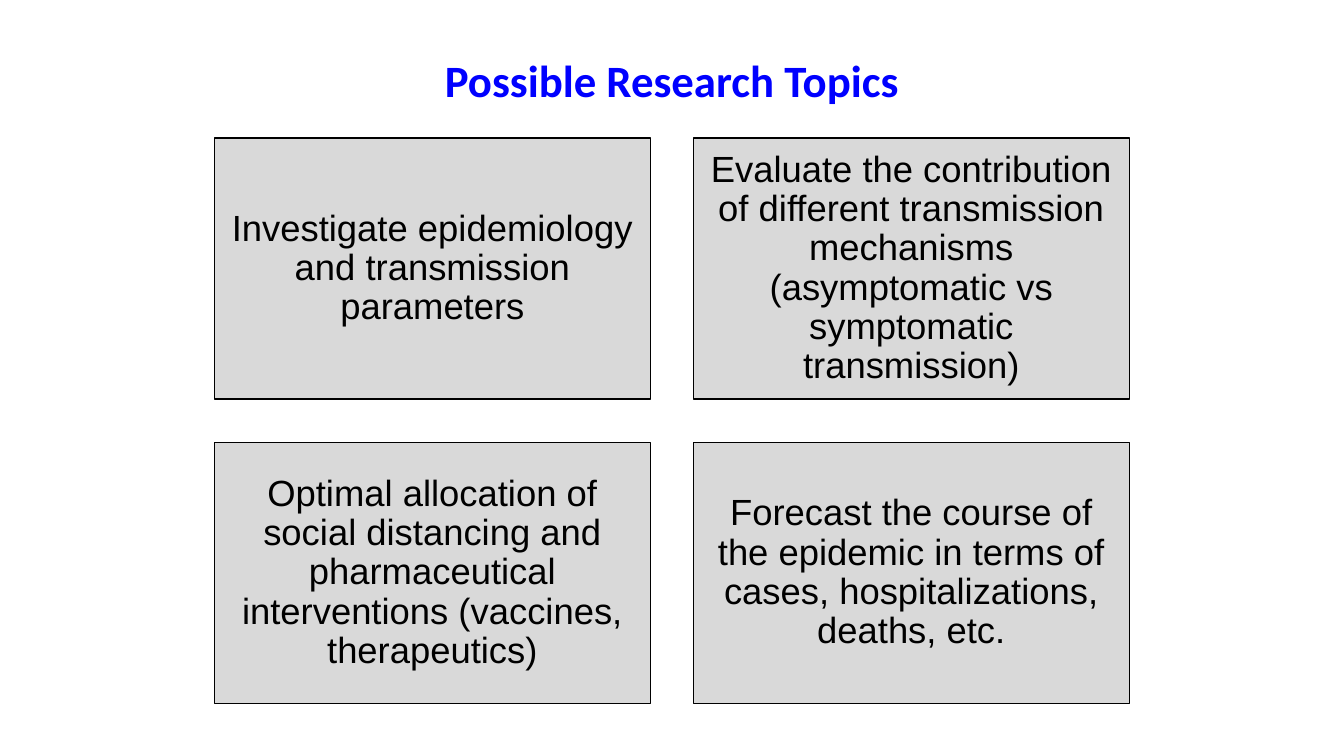
from pptx import Presentation
from pptx.dml.color import RGBColor
from pptx.enum.shapes import MSO_SHAPE
from pptx.enum.text import MSO_ANCHOR, MSO_AUTO_SIZE, PP_ALIGN
from pptx.util import Inches, Pt

RECT = MSO_SHAPE.RECTANGLE
MIDDLE = MSO_ANCHOR.MIDDLE
CENTER = PP_ALIGN.CENTER
NO_AUTOFIT = MSO_AUTO_SIZE.NONE

BLUE = RGBColor(0x00, 0x00, 0xFF)
BLACK = RGBColor(0x00, 0x00, 0x00)
GRAY = RGBColor(0xD9, 0xD9, 0xD9)

# Card grid, in inches
COLUMNS = 2
GRID_LEFT, GRID_TOP = 2.13, 1.37
CARD_W, CARD_H = 4.32, 2.59
GAP = 0.43
INSET = Inches(0.11)

TOPICS = [
    "Investigate epidemiology and transmission parameters",
    "Evaluate the contribution of different transmission mechanisms "
    "(asymptomatic vs symptomatic transmission)",
    "Optimal allocation of social distancing and pharmaceutical "
    "interventions (vaccines, therapeutics)",
    "Forecast the course of the epidemic in terms of cases, "
    "hospitalizations, deaths, etc.",
]


def write(tf, text, font, size, color, bold=False):
    tf.word_wrap = True
    tf.auto_size = NO_AUTOFIT
    tf.vertical_anchor = MIDDLE
    tf.text = text
    p = tf.paragraphs[0]
    p.alignment = CENTER
    r = p.runs[0]
    r.font.name = font
    r.font.size = Pt(size)
    r.font.bold = bold
    r.font.color.rgb = color
    return p


def add_title(slide, text):
    sp = slide.shapes.title
    sp.left, sp.top = Inches(0.99), Inches(0.47)
    sp.width, sp.height = Inches(11.35), Inches(0.64)
    write(sp.text_frame, text, "Calibri", 32, BLUE, bold=True)


def add_card(slide, column, row, text):
    sp = slide.shapes.add_shape(
        RECT,
        Inches(GRID_LEFT + column * (CARD_W + GAP)),
        Inches(GRID_TOP + row * (CARD_H + GAP)),
        Inches(CARD_W), Inches(CARD_H))
    sp.shadow.inherit = False
    sp.fill.solid()
    sp.fill.fore_color.rgb = GRAY
    sp.line.color.rgb = BLACK
    sp.line.width = Pt(1)
    tf = sp.text_frame
    tf.margin_left = tf.margin_right = INSET
    tf.margin_top = tf.margin_bottom = INSET
    p = write(tf, text, "Arial", 26, BLACK)
    p.line_spacing = 0.9


def main():
    prs = Presentation()
    prs.slide_width, prs.slide_height = Inches(13.33), Inches(7.5)
    slide = prs.slides.add_slide(prs.slide_layouts.get_by_name("Title Only"))

    add_title(slide, "Possible Research Topics")

    # Topics fill the grid row by row
    for i, topic in enumerate(TOPICS):
        row, column = divmod(i, COLUMNS)
        add_card(slide, column, row, topic)

    prs.save("out.pptx")


if __name__ == "__main__":
    main()
